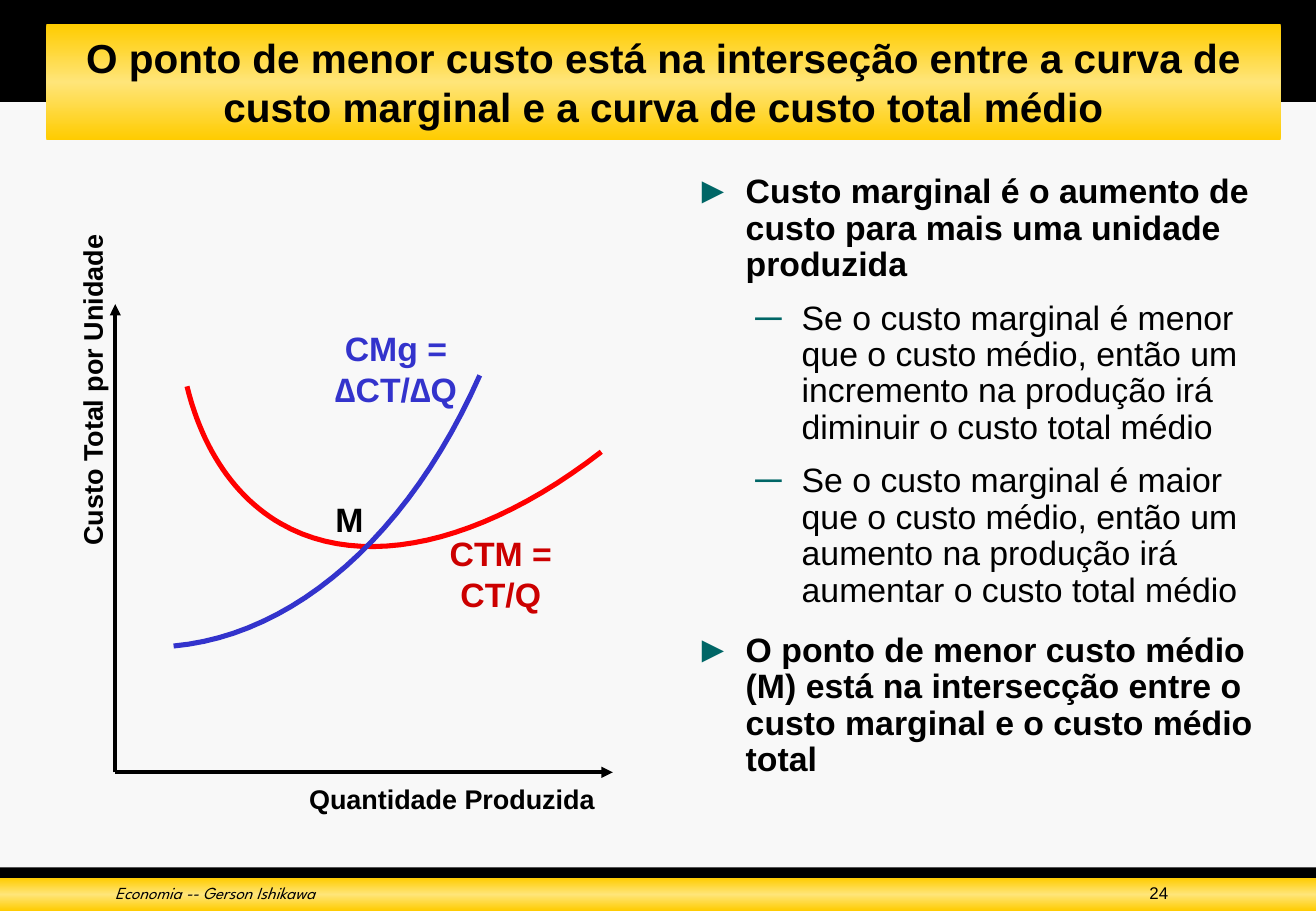
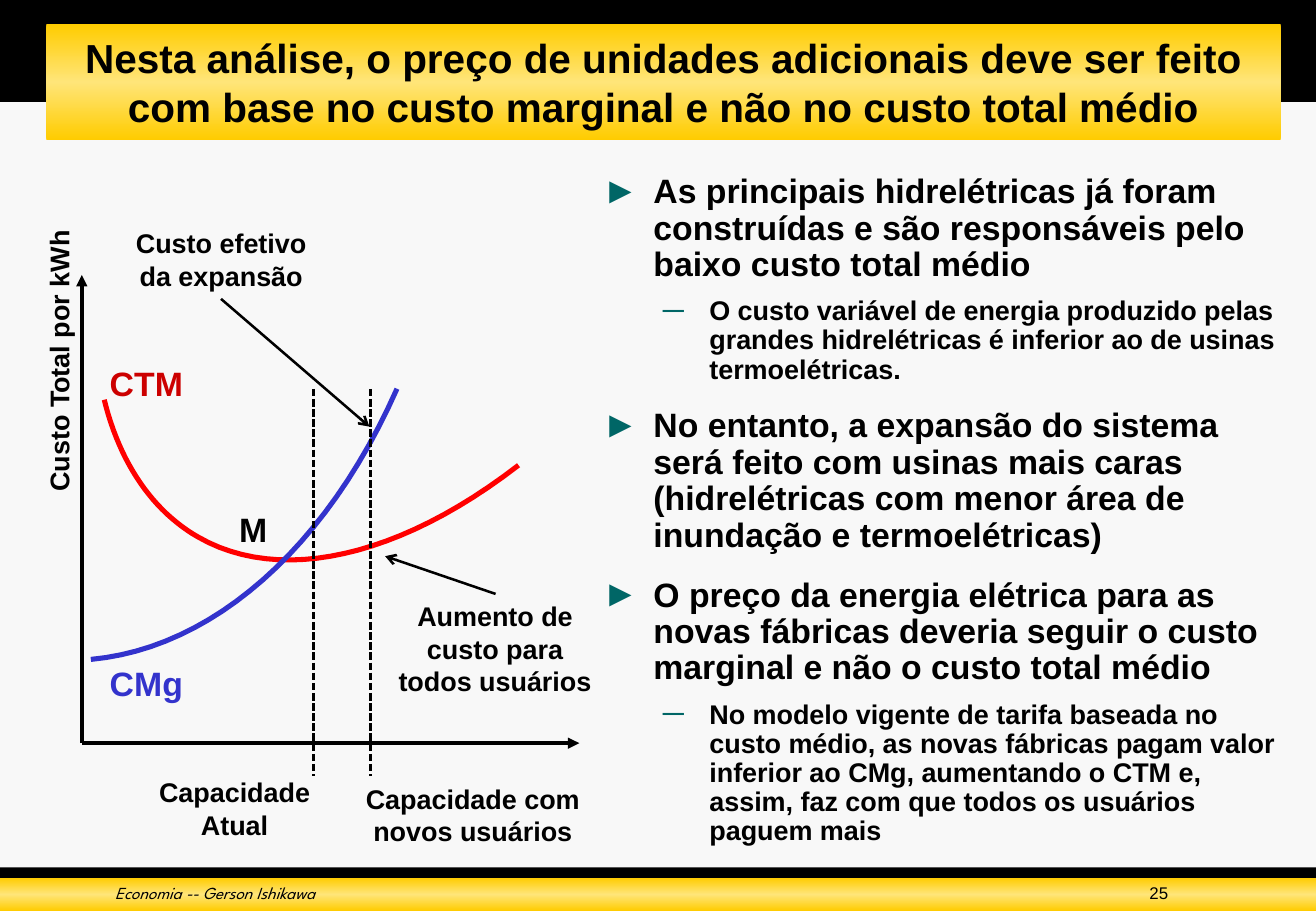
from copy import deepcopy

from lxml import etree
from pptx import Presentation
from pptx.dml.color import RGBColor
from pptx.enum.dml import MSO_LINE
from pptx.enum.shapes import MSO_CONNECTOR, MSO_SHAPE
from pptx.enum.text import MSO_ANCHOR, MSO_AUTO_SIZE, PP_ALIGN
from pptx.oxml.ns import qn
from pptx.util import Cm, Pt

LEFT, CENTER, RIGHT = PP_ALIGN.LEFT, PP_ALIGN.CENTER, PP_ALIGN.RIGHT
MIDDLE, NO_FIT = MSO_ANCHOR.MIDDLE, MSO_AUTO_SIZE.NONE
RECT, STRAIGHT, DASH = MSO_SHAPE.RECTANGLE, MSO_CONNECTOR.STRAIGHT, MSO_LINE.SQUARE_DOT

WIDTH, HEIGHT = 27.51, 19.05
FONT, FOOTER_FONT = "Arial", "League Spartan"
COLORS = {
    "paper": "F8F8F8", "black": "000000", "gold": "FFCC00", "pale_gold": "FFE579",
    "bullet": "006666", "average": "FF0000", "average_text": "CC0000",
    "marginal": "3333CC",
}

# Bullet character, left margin, hanging indent and space before, by level
LEVELS = [("►", 1.07, 1.07, 0.7), ("─", 2.24, 0.97, 0.5)]

# Bézier control points in cm, relative to the crossing point of the two curves
AVERAGE_CURVE = [(4.84, -1.96), (2.35, -0.03), (-0.14, 0.53), (-1.86, -0.46),
                 (-2.8, -1.0), (-3.49, -1.99), (-3.82, -3.33)]
MARGINAL_CURVE = [(2.3, -3.56), (0.83, -0.23), (-1.56, 1.87), (-4.1, 2.1)]


def rgb(name):
    return RGBColor.from_string(COLORS[name])


def format_paragraph(p, size, color="black", bold=False, italic=False,
                     font=FONT, align=LEFT):
    p.alignment = align
    for r in p.runs:
        r.font.name, r.font.size = font, Pt(size)
        r.font.bold, r.font.italic = bold, italic
        r.font.color.rgb = rgb(color)


def add_text(s, text, x, y, w, h, size, wrap=False, **style):
    box = s.shapes.add_textbox(Cm(x), Cm(y), Cm(w), Cm(h))
    tf = box.text_frame
    tf.word_wrap = wrap
    tf.text = text
    for p in tf.paragraphs:
        format_paragraph(p, size, **style)
    return box


def add_label(s, text, x, y, w, h, size=16, color="black", wrap=False):
    return add_text(s, text, x, y, w, h, size, wrap, color=color, bold=True, align=CENTER)


def fill_gold(shape):
    """Fill with a vertical gradient that is palest in the middle."""
    fill = shape.fill
    fill.gradient()
    fill.gradient_angle = 90
    stops = next(shape.element.iter(qn("a:gsLst")))
    stops.insert(1, deepcopy(stops[0]))
    for stop, position, color in zip(fill.gradient_stops, (0, 0.5, 1),
                                     ("gold", "pale_gold", "gold")):
        stop.position = position
        stop.color.rgb = rgb(color)


def add_band(s, y, h, gold=False):
    band = s.shapes.add_shape(RECT, 0, Cm(y), Cm(WIDTH), Cm(h))
    band.shadow.inherit = False
    band.line.fill.background()
    if gold:
        fill_gold(band)
    else:
        band.fill.solid()
        band.fill.fore_color.rgb = rgb("black")


def add_title(s, text):
    title = s.shapes.title
    title.element.getparent().append(title.element)  # above the top band
    title.left, title.top, title.width, title.height = Cm(0.97), Cm(0.51), Cm(25.8), Cm(2.41)
    fill_gold(title)
    tf = title.text_frame
    tf.auto_size, tf.vertical_anchor, tf.word_wrap = NO_FIT, MIDDLE, True
    tf.text = text
    format_paragraph(tf.paragraphs[0], 24, bold=True, align=CENTER)


def new_slide(prs, title, number):
    s = prs.slides.add_slide(prs.slide_layouts[5])
    add_band(s, 0, 2.13)
    add_band(s, 18.14, 0.91)
    add_band(s, 18.36, 0.69, gold=True)
    add_title(s, title)
    add_text(s, "Economia -- Gerson Ishikawa", 2.16, 18.34, 15.8, 0.71, 10,
             italic=True, font=FOOTER_FONT)
    add_text(s, str(number), 21.77, 18.34, 2.9, 0.71, 10, align=RIGHT)
    return s


def add_bullet(p, char, margin, hanging):
    pPr = p._p.get_or_add_pPr()
    pPr.set("marL", str(Cm(margin)))
    pPr.set("indent", str(-Cm(hanging)))
    color = etree.SubElement(pPr, qn("a:buClr"))
    etree.SubElement(color, qn("a:srgbClr"), val=COLORS["bullet"])
    etree.SubElement(pPr, qn("a:buSzPct"), val="110000")
    etree.SubElement(pPr, qn("a:buFont"), typeface=FONT)
    etree.SubElement(pPr, qn("a:buChar"), char=char)


def add_body(s, x, w, items, sub_size, sub_bold):
    """Write (level, text) items as a two-level bulleted list."""
    tf = s.shapes.add_textbox(Cm(x), Cm(3.53), Cm(w), Cm(14.2)).text_frame
    tf.word_wrap = True
    for i, (level, text) in enumerate(items):
        p = tf.add_paragraph() if i else tf.paragraphs[0]
        p.text = text
        p.level = level
        char, margin, hanging, gap = LEVELS[level]
        size, bold = (sub_size, sub_bold) if level else (20, True)
        add_bullet(p, char, margin, hanging)
        p.line_spacing = 0.9
        if i:
            p.space_before = Pt(gap * size)
        format_paragraph(p, size, bold=bold)


def add_line(s, start, end, width=1.5, head=None, dashed=False):
    line = s.shapes.add_connector(STRAIGHT, *(Cm(v) for v in (*start, *end)))
    line.line.color.rgb = rgb("black")
    line.line.width = Pt(width)
    if dashed:
        line.line.dash_style = DASH
    spPr = line.element.spPr
    if head:
        etree.SubElement(spPr.find(qn("a:ln")), qn("a:tailEnd"), type=head)
    etree.SubElement(spPr, qn("a:effectLst"))


def bezier_points(controls, steps=24):
    """Sample a chain of cubic Bézier segments."""
    points = [controls[0]]
    for i in range(0, len(controls) - 1, 3):
        segment = controls[i:i + 4]
        for t in (k / steps for k in range(1, steps + 1)):
            weights = ((1 - t) ** 3, 3 * t * (1 - t) ** 2, 3 * t * t * (1 - t), t ** 3)
            points.append(tuple(sum(w * c[axis] for w, c in zip(weights, segment))
                                for axis in (0, 1)))
    return points


def add_curve(s, controls, crossing, color):
    points = [(Cm(crossing[0] + x), Cm(crossing[1] + y)) for x, y in bezier_points(controls)]
    builder = s.shapes.build_freeform(*points[0])
    builder.add_line_segments(points[1:], close=False)
    curve = builder.convert_to_shape()
    curve.shadow.inherit = False
    curve.fill.background()
    curve.line.color.rgb = rgb(color)
    curve.line.width = Pt(3)


def add_cost_chart(s, origin, crossing, y_label):
    """Draw the axes, the vertical axis label and both cost curves."""
    x, y = origin
    add_line(s, origin, (x, y - 9.79), 2.25, "triangle")
    add_line(s, origin, (x + 10.4, y), 2.25, "triangle")
    w, h = 7.1, 0.94
    label = add_label(s, y_label, x - 0.48 - w / 2, y - 7.99 - h / 2, w, h)
    label.rotation = 270
    add_curve(s, AVERAGE_CURVE, crossing, "average")
    add_curve(s, MARGINAL_CURVE, crossing, "marginal")


def minimum_cost_slide(prs):
    s = new_slide(prs, "O ponto de menor custo está na interseção entre a curva de "
                  "custo marginal e a curva de custo total médio", 24)
    add_body(s, 14.27, 12.5, [
        (0, "Custo marginal é o aumento de custo para mais uma unidade produzida"),
        (1, "Se o custo marginal é menor que o custo médio, então um incremento na "
            "produção irá diminuir o custo total médio"),
        (1, "Se o custo marginal é maior que o custo médio, então um aumento na "
            "produção irá aumentar o custo total médio"),
        (0, "O ponto de menor custo médio (M) está na intersecção entre o custo "
            "marginal e o custo médio total"),
    ], sub_size=20, sub_bold=False)
    add_cost_chart(s, (2.41, 16.15), (7.73, 11.41), "Custo Total por Unidade")
    add_label(s, "Quantidade Produzida", 6.2, 16.23, 6.5, 0.94)
    add_label(s, "CMg = ∆CT/∆Q", 6.63, 6.73, 3.3, 1.9, 20, "marginal", wrap=True)
    add_label(s, "CTM = CT/Q", 9.07, 11.02, 2.8, 1.9, 20, "average_text", wrap=True)
    add_label(s, "M", 6.76, 10.31, 1.09, 1.09, 20)


def marginal_price_slide(prs):
    s = new_slide(prs, "Nesta análise, o preço de unidades adicionais deve ser feito "
                  "com base no custo marginal e não no custo total médio", 25)
    add_body(s, 12.34, 14.81, [
        (0, "As principais hidrelétricas já foram construídas e são responsáveis "
            "pelo baixo custo total médio"),
        (1, "O custo variável de energia produzido pelas grandes hidrelétricas é "
            "inferior ao de usinas termoelétricas."),
        (0, "No entanto, a expansão do sistema será feito com usinas mais caras "
            "(hidrelétricas com menor área de inundação e termoelétricas)"),
        (0, "O preço da energia elétrica para as novas fábricas deveria seguir o "
            "custo marginal e não o custo total médio"),
        (1, "No modelo vigente de tarifa baseada no custo médio, as novas fábricas "
            "pagam valor inferior ao CMg, aumentando o CTM e, assim, faz com que "
            "todos os usuários paguem mais"),
    ], sub_size=16, sub_bold=True)
    add_cost_chart(s, (1.71, 15.54), (6.0, 11.69), "Custo Total por kWh")
    add_label(s, "CMg", 2.03, 13.74, 2.06, 1.1, 20, "marginal")
    add_label(s, "CTM", 2.03, 7.47, 2.06, 1.1, 20, "average_text")
    add_label(s, "M", 4.75, 10.52, 1.09, 1.09, 20)
    for capacity_x in (6.55, 7.75):
        add_line(s, (capacity_x, 8.13), (capacity_x, 16.23), dashed=True)
    add_label(s, "Capacidade\vAtual", 3.05, 16.1, 3.71, 1.63)
    add_label(s, "Capacidade com\nnovos usuários", 7.37, 16.23, 5.03, 1.63)
    add_label(s, "Custo efetivo\vda expansão", 2.57, 4.62, 4.11, 1.63)
    add_line(s, (4.62, 6.25), (7.72, 8.92), head="arrow")
    add_label(s, "Aumento de\ncusto para\ntodos usuários", 8.05, 12.42, 4.6, 2.31)
    add_line(s, (10.36, 12.42), (8.05, 11.63), head="arrow")


def main():
    prs = Presentation()
    prs.slide_width, prs.slide_height = Cm(WIDTH), Cm(HEIGHT)
    background = prs.slide_master.background.fill
    background.solid()
    background.fore_color.rgb = rgb("paper")
    minimum_cost_slide(prs)
    marginal_price_slide(prs)
    prs.save("out.pptx")


if __name__ == "__main__":
    main()
